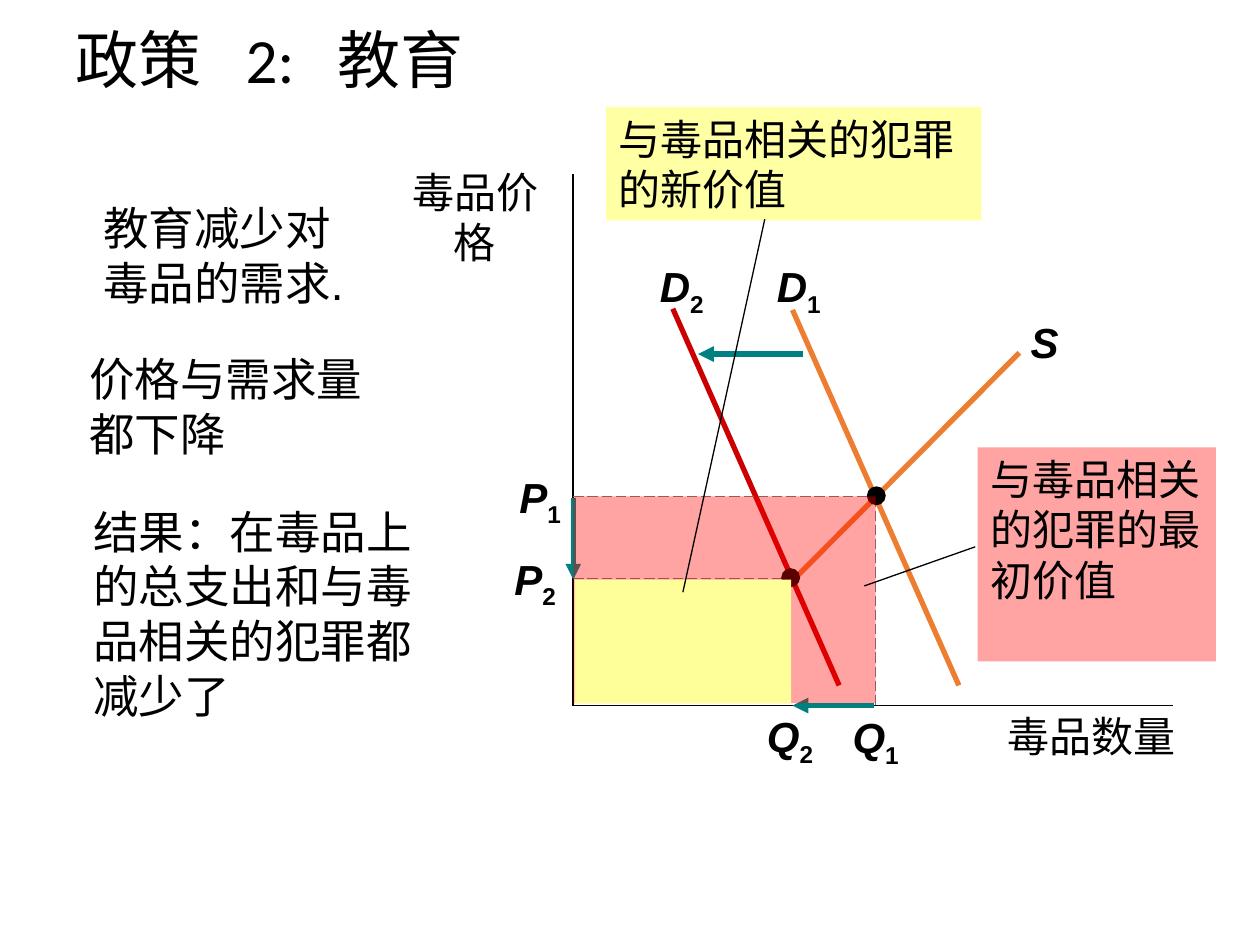
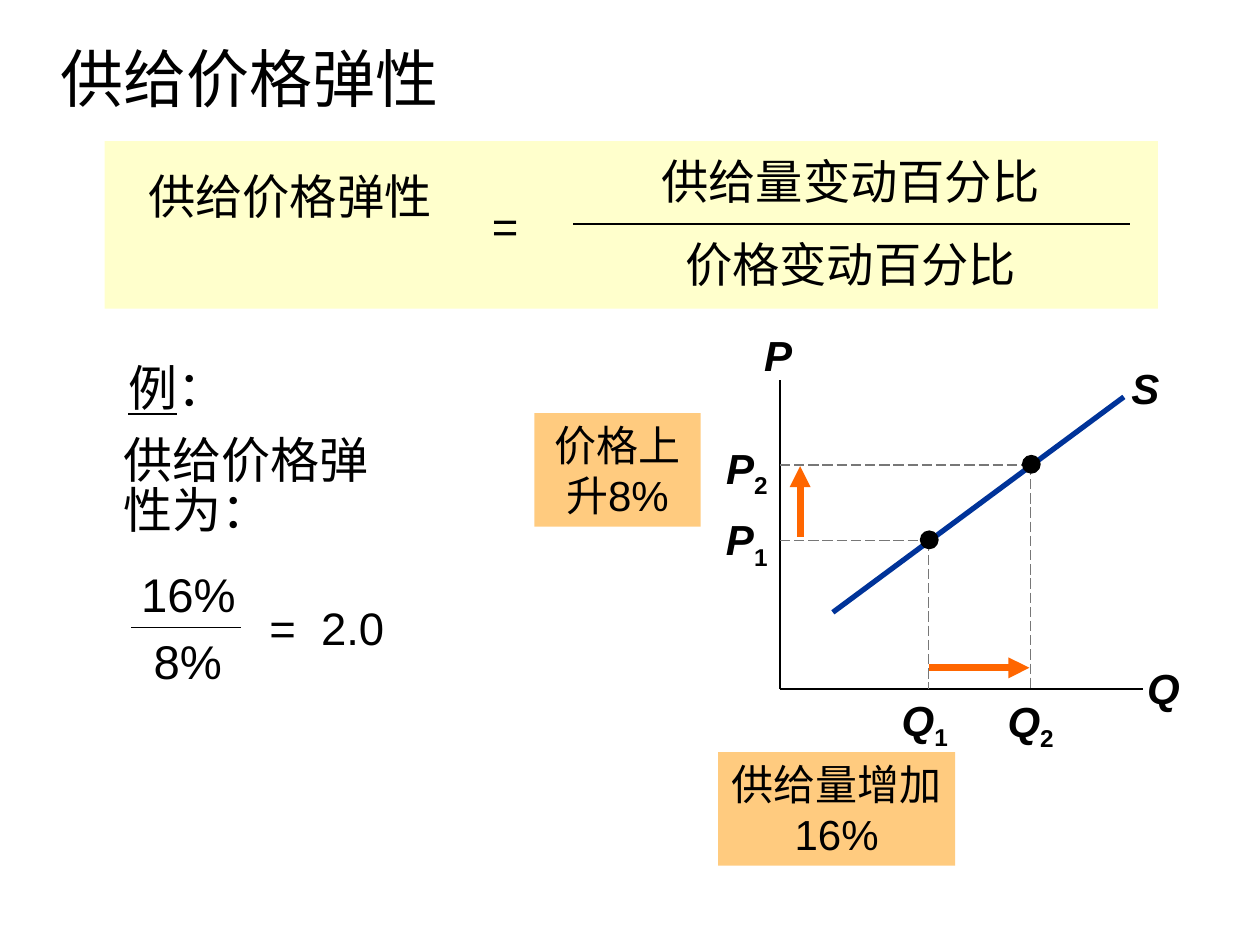
from lxml.etree import SubElement as Sub
from pptx import Presentation
from pptx.dml.color import RGBColor as RGB
from pptx.enum.dml import MSO_LINE
from pptx.enum.shapes import MSO_CONNECTOR, MSO_SHAPE as Geo
from pptx.enum.text import MSO_ANCHOR, MSO_AUTO_SIZE as Auto, PP_ALIGN as Al
from pptx.oxml.ns import qn
from pptx.util import Inches, Pt

HUES = {
    "black": "000000", "grey": "777777", "orange": "ED7D31", "red": "CC0000",
    "teal": "008080", "navy": "003399", "flame": "FF6600", "rose": "FF0000",
    "lemon": "FFFF00", "pale": "FFFF99", "cream": "FFFFCC", "amber": "FF9900",
}


def box(page, at, text="", size=24, align=Al.LEFT, fill=None, alpha=None, kind=Geo.RECTANGLE):
    """Add a text box or filled shape; "|" splits runs, and a math label gets a subscript."""
    spot = [Inches(v) for v in at]
    if fill:
        item = page.shapes.add_shape(kind, *spot)
        item.shadow.inherit = False
        item.line.fill.background()
        item.fill.solid()
        item.fill.fore_color.rgb = RGB.from_string(HUES[fill])
        if alpha:
            tint = item._element.spPr.find(qn("a:solidFill"))[0]
            Sub(tint, qn("a:alpha"), val=str(alpha * 1000))
    else:
        item = page.shapes.add_textbox(*spot)
    if not text:
        return item
    frame = item.text_frame
    frame.word_wrap = True
    frame.vertical_anchor = MSO_ANCHOR.TOP
    head, *rest = text.split("|")
    frame.text = head
    par = frame.paragraphs[0]
    par.alignment = align
    for part in rest:
        par.add_run().text = part
    math = head in "DSPQ"
    for i, run in enumerate(par.runs):
        font = run.font
        font.name, font.size = "Arial", Pt(size)
        font.color.rgb = RGB.from_string(HUES["black"])
        if math:
            font.bold, font.italic = True, i == 0
            if i:
                font._element.set("baseline", "-25000")
    return item


def line(page, ends, hue="black", width=1, dash=False, arrow=False):
    """Add a straight line, dashed or with an arrowhead if asked."""
    rule = page.shapes.add_connector(MSO_CONNECTOR.STRAIGHT, *[Inches(v) for v in ends])
    rule.line.color.rgb = RGB.from_string(HUES[hue])
    rule.line.width = Pt(width)
    if dash:
        rule.line.dash_style = MSO_LINE.LONG_DASH
    props = rule._element.spPr
    if arrow:
        Sub(props.find(qn("a:ln")), qn("a:tailEnd"), type="triangle")
    Sub(props, qn("a:effectLst"))


deck = Presentation()
deck.slide_width, deck.slide_height = Inches(10), Inches(7.5)
edu = deck.slides.add_slide(deck.slide_layouts[5])
flex = deck.slides.add_slide(deck.slide_layouts[1])

# Titles and body text
body = flex.placeholders[1]
for hold, at, text, size, space in (
    (edu.shapes.title, (0.5, 0.15, 9, 0.71), "政策\t2:\t教育", 36, 0.9),
    (flex.shapes.title, (0.38, 0.28, 9.2, 0.74), "供给价格弹性", 36, 0.9),
    (body, (0.88, 3.43, 2.33, 1.97), "供给价格弹性为：", 28, 0.85),
):
    hold.left, hold.top, hold.width, hold.height = [Inches(v) for v in at]
    frame = hold.text_frame
    frame.text = text
    frame.word_wrap, frame.auto_size = True, Auto.NONE
    par = frame.paragraphs[0]
    par.alignment, par.line_spacing, par.space_before = Al.LEFT, space, Pt(0)
    for run in par.runs:
        run.font.name, run.font.size = "Calibri", Pt(size)
        run.font.color.rgb = RGB.from_string(HUES["black"])
props = body.text_frame.paragraphs[0]._p.get_or_add_pPr()
props.set("marL", "0")
props.set("indent", "0")
Sub(props, qn("a:buNone"))

# Axes: left, top, base, right
for page, left, top, base, right in (
    (edu, 4.55, 1.38, 5.6, 9.31),
    (flex, 6.19, 3.02, 5.47, 9.07),
):
    line(page, (left, top, left, base))
    line(page, (left, base, right, base))

# Supply and demand curves
for page, ends, hue in (
    (edu, (6.29, 2.46, 7.61, 5.44), "orange"),
    (edu, (6.01, 4.89, 8.09, 2.8), "orange"),
    (edu, (5.34, 2.45, 6.66, 5.44), "red"),
    (flex, (8.92, 3.15, 6.61, 4.86), "navy"),
):
    line(page, ends, hue, 3)

# Equilibrium points with dashed guides to both axes
for page, left, base, x, y in (
    (edu, 4.55, 5.6, 6.95, 3.94),
    (edu, 4.55, 5.6, 6.27, 4.59),
    (flex, 6.19, 5.47, 8.18, 3.69),
    (flex, 6.19, 5.47, 7.37, 4.29),
):
    line(page, (left, y, x, y), "grey", 0.75, dash=True)
    line(page, (x, y, x, base), "grey", 0.75, dash=True)
    box(page, (x - 0.07, y - 0.08, 0.15, 0.15), fill="black", kind=Geo.OVAL)

# Curve, axis, price and quantity labels
for page, text, x, y, wide in (
    (edu, "D|1", 5.98, 2.02, 0.72),
    (edu, "D|2", 5.05, 2.02, 0.72),
    (edu, "S", 7.98, 2.46, 0.62),
    (edu, "P|1", 3.88, 3.69, 0.67),
    (edu, "P|2", 3.86, 4.34, 0.65),
    (edu, "Q|1", 6.65, 5.6, 0.6),
    (edu, "Q|2", 5.95, 5.59, 0.64),
    (flex, "P", 5.84, 2.57, 0.67),
    (flex, "Q", 8.9, 5.21, 0.67),
    (flex, "S", 8.81, 2.83, 0.56),
    (flex, "P|1", 5.52, 4.03, 0.67),
    (flex, "P|2", 5.54, 3.46, 0.65),
    (flex, "Q|1", 7.02, 5.46, 0.64),
    (flex, "Q|2", 7.88, 5.47, 0.6),
):
    box(page, (x, y, wide, 0.5), text, align=Al.RIGHT if "P|" in text else Al.CENTER)

# Shift arrows
for page, ends, hue, width in (
    (edu, (6.37, 2.81, 5.54, 2.81), "teal", 3),
    (edu, (6.94, 5.6, 6.29, 5.6), "teal", 3),
    (edu, (4.55, 3.95, 4.55, 4.6), "teal", 3),
    (flex, (6.35, 4.26, 6.35, 3.7), "flame", 4),
    (flex, (7.37, 5.3, 8.17, 5.3), "flame", 4),
):
    line(page, ends, hue, width, arrow=True)

# Education: axis names and story
box(edu, (3.03, 1.27, 1.48, 0.9), "毒品价格", align=Al.CENTER)
box(edu, (7.81, 5.59, 1.62, 0.5), "毒品数量", align=Al.RIGHT)
for at, text in (
    ((0.72, 1.54, 2.21, 0.97), "教育减少对毒品的需求."),
    ((0.61, 2.74, 2.72, 0.97), "价格与需求量都下降"),
    ((0.64, 3.95, 2.73, 1.83), "结果：在毒品上的总支出和与毒品相关的犯罪都减少了"),
):
    box(edu, at, text, 26)

# Education: spending areas and their callouts
box(edu, (4.55, 3.94, 2.4, 1.64), fill="rose", alpha=36)
box(edu, (7.76, 3.55, 1.89, 1.7), "与毒品相关的犯罪的最初价值", fill="rose", alpha=36)
line(edu, (6.86, 4.65, 7.74, 4.34), width=0.75)
box(edu, (4.56, 4.6, 1.72, 0.98), fill="pale")
box(edu, (4.81, 0.85, 2.98, 0.9), "与毒品相关的犯罪的新价值", fill="lemon", alpha=36)
line(edu, (6.07, 1.74, 5.42, 4.7), width=0.75)

# Elasticity: formula band
box(flex, (0.83, 1.12, 8.36, 1.33), fill="cream")
for at, text, size in (
    ((0.92, 1.28, 2.76, 1), "供给价格弹性", 27),
    ((3.76, 1.52, 0.5, 0.53), "=", 26),
    ((4.45, 1.16, 4.6, 0.55), "供给量变动百分比", 27),
    ((4.45, 1.82, 4.6, 0.55), "价格变动百分比", 27),
):
    box(flex, at, text, size, Al.CENTER, "cream")
line(flex, (4.55, 1.78, 8.97, 1.78))

# Elasticity: change notes
for at, text in (
    ((4.24, 3.28, 1.32, 0.9), "价格上升8%"),
    ((5.7, 5.97, 1.88, 0.9), "供给量增加 16%"),
):
    box(flex, at, text, align=Al.CENTER, fill="amber", alpha=50)

# Elasticity: worked example
case = box(flex, (0.31, 2.79, 2.19, 0.57), "例|：", 28, Al.CENTER)
case.text_frame.paragraphs[0].runs[0].font.underline = True
box(flex, (0.94, 4.44, 1.11, 0.55), "16%", 27, Al.CENTER)
box(flex, (0.95, 4.97, 1.08, 0.55), "8%", 27, Al.CENTER)
line(flex, (1.04, 4.98, 1.91, 4.98))
ratio = box(flex, (2.04, 4.71, 1.24, 0.53), "=\t2.0", 26)

# Tab stops for the spaced text
for item, stops in ((edu.shapes.title, (1.35, 2.08)), (ratio, (0.41,))):
    tabs = Sub(item.text_frame.paragraphs[0]._p.get_or_add_pPr(), qn("a:tabLst"))
    for stop in stops:
        Sub(tabs, qn("a:tab"), pos=str(Inches(stop)), algn="l")

deck.save("out.pptx")
